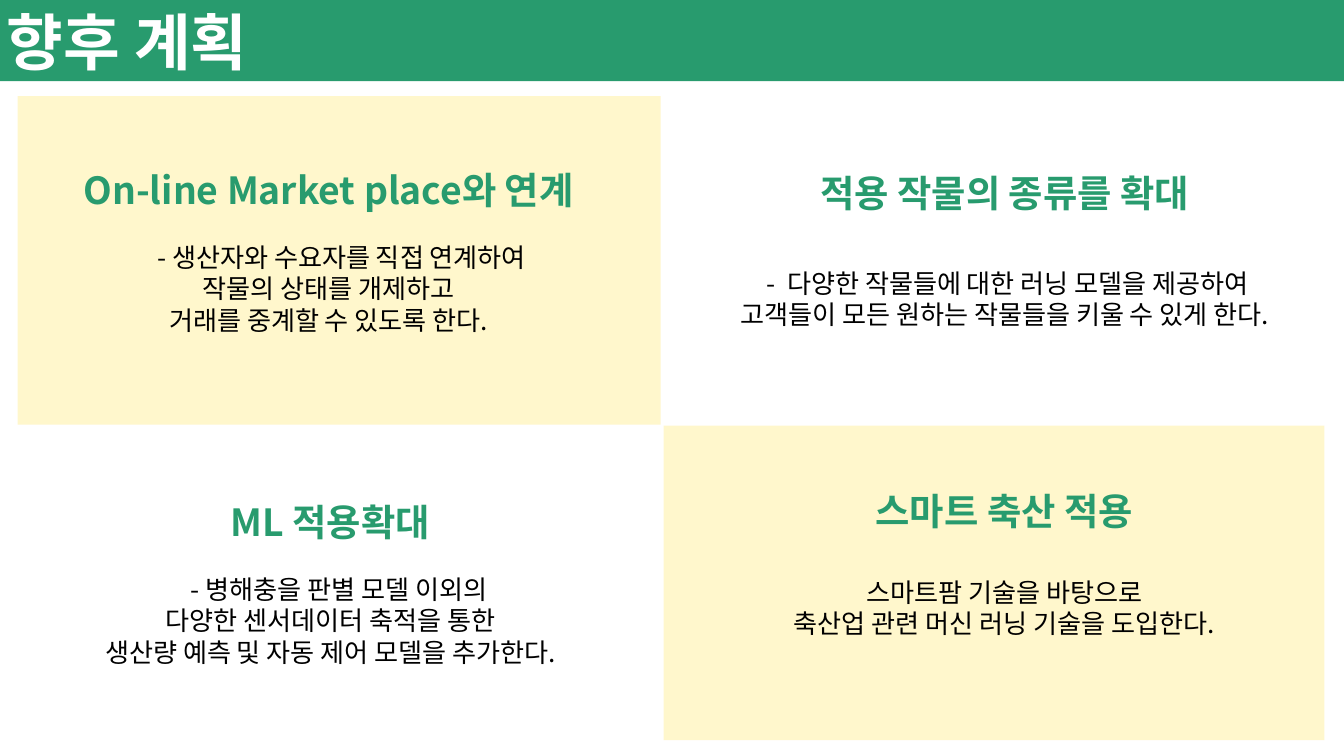
from dataclasses import dataclass

from lxml import etree
from pptx import Presentation
from pptx.dml.color import RGBColor
from pptx.enum import shapes, text
from pptx.oxml.ns import qn
from pptx.util import Pt


@dataclass(frozen=True)
class Theme:
    green: RGBColor = RGBColor(0x28, 0x9B, 0x6E)
    cream: RGBColor = RGBColor(0xFF, 0xF7, 0xCC)
    black: RGBColor = RGBColor(0, 0, 0)
    white: RGBColor = RGBColor(0xFF, 0xFF, 0xFF)
    title_font: str = "Calibri"
    font: str = "Noto Sans CJK KR"
    title_size: int = 66
    heading_size: int = 40
    body_size: int = 28
    heading_line: float = 48
    body_line: float = 33.8


theme = Theme()


def style(para, face, size, color, bold=False):
    """Format a whole paragraph, for Latin and Korean letters alike."""
    font = para.font
    font.name, font.size, font.bold = face, Pt(size), bold
    font.color.rgb = color
    for run in para.runs:
        east_asian = etree.SubElement(run._r.get_or_add_rPr(), qn("a:ea"))
        east_asian.set("typeface", theme.font)


deck = Presentation()
deck.slide_width, deck.slide_height = Pt(1440), Pt(810)
page = deck.slides.add_slide(deck.slide_layouts[5])

# Title band
title = page.shapes.title
title.left, title.top, title.width, title.height = Pt(0), Pt(0), Pt(1440), Pt(87)
title.fill.solid()
title.fill.fore_color.rgb = theme.green
frame = title.text_frame
frame.text = "향후 계획"
frame.auto_size = text.MSO_AUTO_SIZE.NONE
frame.vertical_anchor = text.MSO_ANCHOR.MIDDLE
frame.margin_top = frame.margin_bottom = 0
frame.paragraphs[0].alignment = text.PP_ALIGN.LEFT
style(frame.paragraphs[0], theme.title_font, theme.title_size, theme.white, True)

# Two cream panels on the diagonal
for left, top, width, height in [(19, 103, 689, 352), (711, 456, 708, 337)]:
    panel = page.shapes.add_shape(
        shapes.MSO_SHAPE.RECTANGLE, Pt(left), Pt(top), Pt(width), Pt(height))
    panel.shadow.inherit = False
    panel.fill.solid()
    panel.fill.fore_color.rgb = theme.cream
    panel.line.fill.background()

# Plans: left, top, width, gap under heading, indent of first line, heading, lines
plans = [
    (19, 179, 666, 31, 28, "On-line Market place와 연계",
     ["- 생산자와 수요자를 직접 연계하여", "작물의 상태를 개제하고",
      "거래를 중계할 수 있도록 한다."]),
    (732, 182, 689, 56, 6, "적용 작물의 종류를 확대",
     ["-  다양한 작물들에 대한 러닝 모델을 제공하여",
      "고객들이 모든 원하는 작물들을 키울 수 있게 한다."]),
    (66, 535, 576, 31, 19, "ML 적용확대",
     ["- 병해충을 판별 모델 이외의", "다양한 센서데이터 축적을 통한",
      "생산량 예측 및 자동 제어 모델을 추가한다."]),
    (807, 523, 538, 46, 0, "스마트 축산 적용",
     ["스마트팜 기술을 바탕으로", "축산업 관련 머신 러닝 기술을 도입한다."]),
]
for left, top, width, gap, indent, heading, lines in plans:
    height = theme.heading_line + gap + theme.body_line * len(lines)
    box = page.shapes.add_textbox(Pt(left), Pt(top), Pt(width), Pt(height))
    frame = box.text_frame
    frame.word_wrap = True
    frame.margin_left = frame.margin_right = 0
    frame.margin_top = frame.margin_bottom = 0
    frame.text = "\n".join([heading, *lines])
    for para in frame.paragraphs:
        para.alignment = text.PP_ALIGN.CENTER
        para.line_spacing = Pt(theme.body_line)
        style(para, theme.font, theme.body_size, theme.black)
    head, first = frame.paragraphs[:2]
    head.line_spacing = Pt(theme.heading_line)
    head.font.size, head.font.bold = Pt(theme.heading_size), True
    head.font.color.rgb = theme.green
    first.space_before = Pt(gap)
    if indent:
        first._p.get_or_add_pPr().set("marL", str(Pt(indent)))

deck.save("out.pptx")
